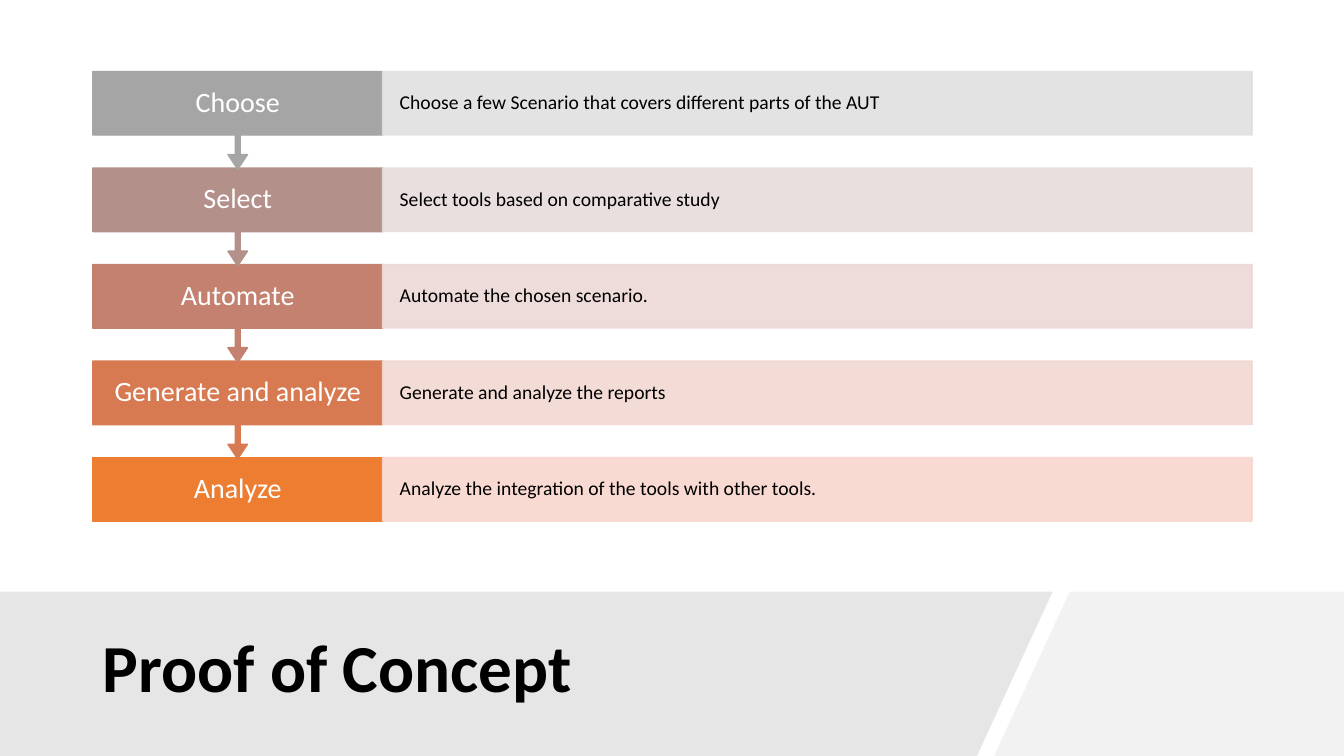
from dataclasses import dataclass

from pptx import Presentation
from pptx import util as u
from pptx.dml.color import RGBColor
from pptx.enum import shapes, text
from pptx.oxml import parse_xml
from pptx.oxml.ns import nsdecls, qn


@dataclass(frozen=True)
class Theme:
    font: str = "Calibri"
    title_size: int = 48
    step_size: int = 20
    detail_size: int = 14
    dark: str = "000000"
    light: str = "FFFFFF"
    band: str = "E7E6E6"
    corner: str = "F2F2F2"
    steps: tuple = ("A5A5A5", "B4908B", "C48170", "D87A51", "ED7D31")
    details: tuple = ("E1E1E1", "E7DCDC", "EDD9D7", "F2D8D2", "F8D7CE")


THEME = Theme()
SLIDE_W, SLIDE_H = 13.33, 7.5
STEPS = [
    ("Choose", "Choose a few Scenario that covers different parts of the AUT"),
    ("Select", "Select tools based on comparative study"),
    ("Automate", "Automate the chosen scenario."),
    ("Generate and analyze", "Generate and analyze the reports"),
    ("Analyze", "Analyze the integration of the tools with other tools."),
]


def paint(shape, color, opacity=100):
    """Give fill and outline one colour, with opacity in percent."""
    shape.shadow.inherit = False
    shape.fill.solid()
    shape.line.fill.solid()
    shape.line.width = u.Pt(1)
    for fill in (shape.fill, shape.line.fill):
        fill.fore_color.rgb = RGBColor.from_string(color)
    if opacity < 100:
        for srgb in shape.element.spPr.iter(qn("a:srgbClr")):
            srgb.append(parse_xml(
                f'<a:alpha {nsdecls("a")} val="{opacity * 1000}"/>'))


def write(shape, wording, size, color, align, inset, bold=False):
    frame = shape.text_frame
    frame.word_wrap = True
    frame.auto_size = text.MSO_AUTO_SIZE.NONE
    frame.vertical_anchor = text.MSO_ANCHOR.MIDDLE
    frame.margin_left = frame.margin_right = u.Inches(inset)
    frame.margin_top = frame.margin_bottom = u.Inches(0.05)
    frame.text = wording
    paragraph = frame.paragraphs[0]
    paragraph.alignment = align
    paragraph.line_spacing = 0.9
    font = paragraph.font
    font.name, font.size, font.bold = THEME.font, u.Pt(size), bold
    font.color.rgb = RGBColor.from_string(color)


def add_polygon(slide, corners, color):
    points = [(u.Inches(x), u.Inches(y)) for x, y in corners]
    builder = slide.shapes.build_freeform(*points[0])
    builder.add_line_segments(points[1:])
    polygon = builder.convert_to_shape()
    paint(polygon, color)
    polygon.line.fill.background()


def add_footer(slide, top, height):
    """Two slanted bands with the slide title on the left one."""
    bottom = top + height
    slant, gap, band_right = 0.75, 0.17, 10.44
    add_polygon(slide, [(band_right + gap, top), (SLIDE_W, top), (SLIDE_W, bottom),
                        (band_right + gap - slant, bottom)], THEME.corner)
    add_polygon(slide, [(0, top), (band_right, top),
                        (band_right - slant, bottom), (0, bottom)], THEME.band)
    title = slide.shapes.title
    title.left, title.top = u.Inches(0.92), u.Inches(top + 0.18)
    title.width, title.height = u.Inches(8.83), u.Inches(1.2)
    write(title, "Proof of Concept", THEME.title_size, THEME.dark,
          text.PP_ALIGN.LEFT, 0.1, bold=True)
    title.element.getparent().append(title.element)  # in front of the bands


def add_process(slide, left, top, width, height):
    """Rows of step and detail; each step's arrow points to the next row."""
    row_height = 0.63
    pitch = (height - row_height) / (len(STEPS) - 1)
    step_width = width / 4
    rows = list(enumerate(zip(STEPS, THEME.steps, THEME.details)))
    # Bottom row first, so that each arrow tip lies over the row below it.
    for index, ((name, explanation), step_color, detail_color) in reversed(rows):
        row_top = u.Inches(top + index * pitch)
        is_last = index == len(STEPS) - 1
        kind = (shapes.MSO_SHAPE.RECTANGLE if is_last
                else shapes.MSO_SHAPE.DOWN_ARROW_CALLOUT)
        step = slide.shapes.add_shape(
            kind, u.Inches(left), row_top, u.Inches(step_width),
            u.Inches(row_height if is_last else 0.97))
        if not is_last:
            for position, value in enumerate((0.05, 0.1, 0.15, 0.65)):
                step.adjustments[position] = value
        paint(step, step_color)
        write(step, name, THEME.step_size, THEME.light, text.PP_ALIGN.CENTER, 0.2)

        detail = slide.shapes.add_shape(
            shapes.MSO_SHAPE.RECTANGLE, u.Inches(left + step_width), row_top,
            u.Inches(width - step_width), u.Inches(row_height))
        paint(detail, detail_color, opacity=90)
        write(detail, explanation, THEME.detail_size, THEME.dark,
              text.PP_ALIGN.LEFT, 0.17)


def main():
    deck = Presentation()
    deck.slide_width, deck.slide_height = u.Inches(SLIDE_W), u.Inches(SLIDE_H)
    slide = deck.slides.add_slide(deck.slide_layouts[5])
    add_footer(slide, top=5.87, height=1.63)
    add_process(slide, left=0.92, top=0.71, width=11.5, height=4.46)
    deck.save("out.pptx")


if __name__ == "__main__":
    main()
